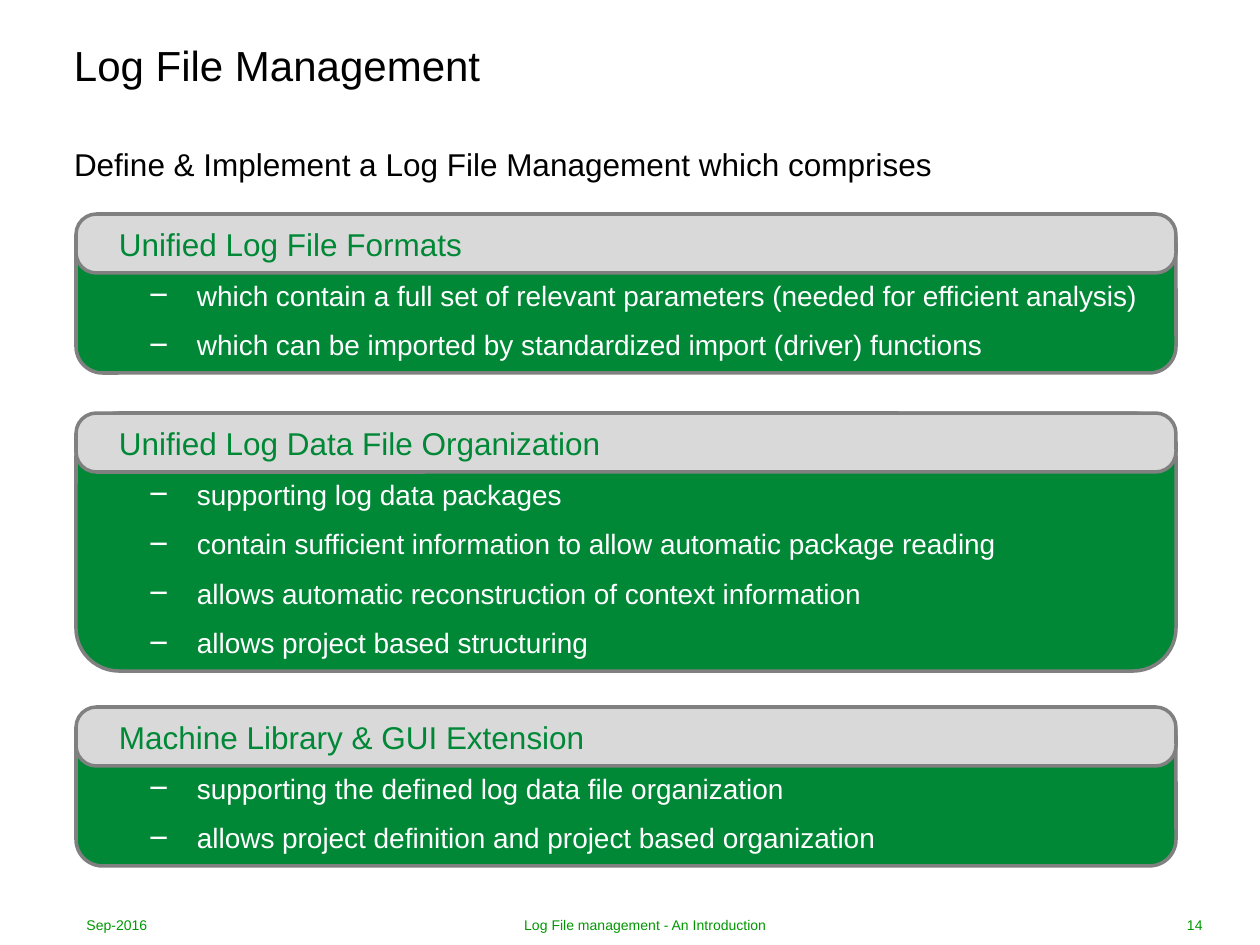
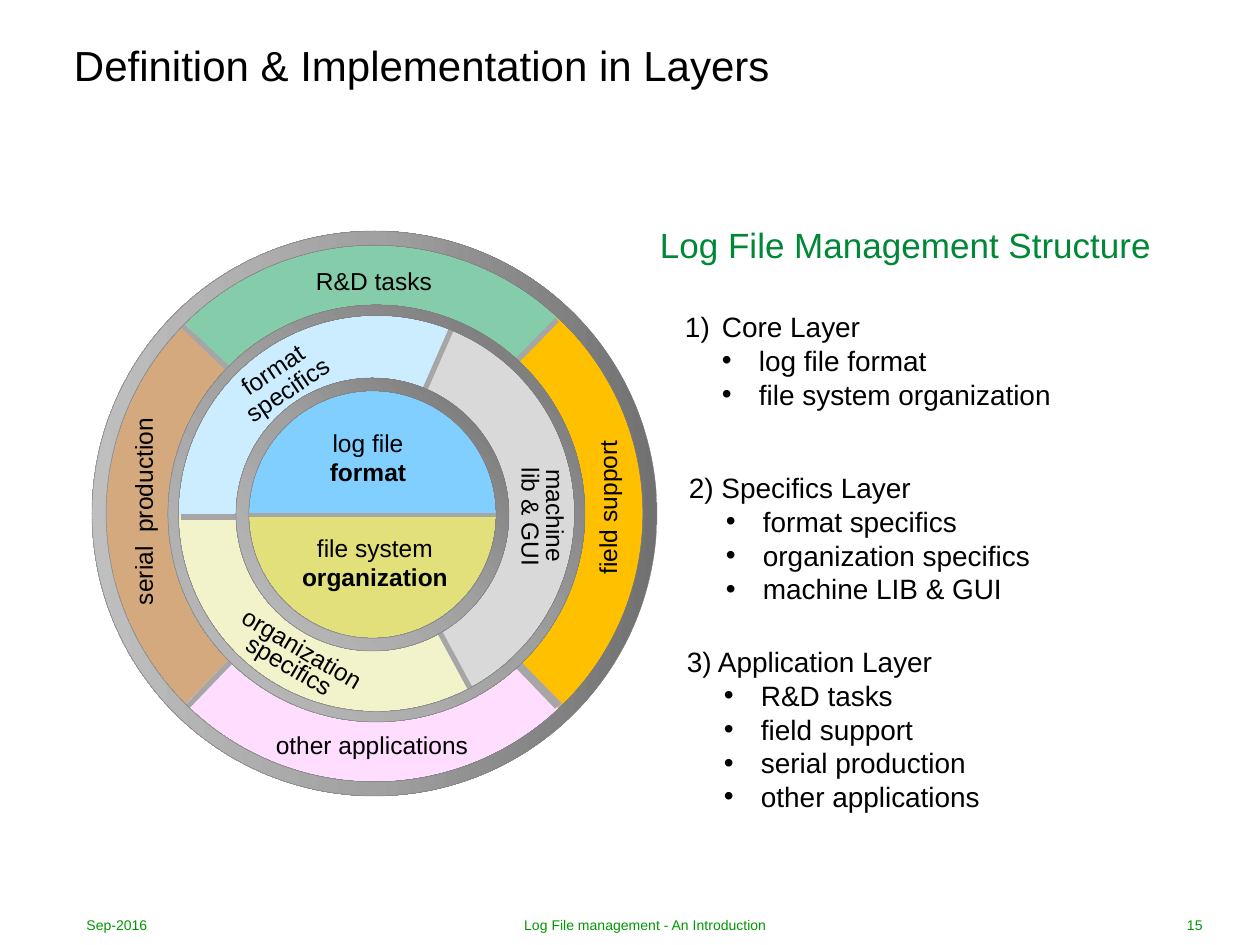
from pptx import Presentation
from pptx.dml.color import RGBColor
from pptx.enum.shapes import MSO_CONNECTOR, MSO_SHAPE
from pptx.enum.text import MSO_ANCHOR, PP_ALIGN
from pptx.oxml import parse_xml
from pptx.oxml.ns import nsdecls
from pptx.util import Pt

ROUND, CHORD, PIE, DONUT = (MSO_SHAPE.ROUNDED_RECTANGLE, MSO_SHAPE.CHORD,
                            MSO_SHAPE.PIE, MSO_SHAPE.DONUT)
LINE = MSO_CONNECTOR.STRAIGHT
LEFT, MID, RIGHT = PP_ALIGN.LEFT, PP_ALIGN.CENTER, PP_ALIGN.RIGHT
TOP, MIDDLE = MSO_ANCHOR.TOP, MSO_ANCHOR.MIDDLE

FONT = "Arial"
BLACK, WHITE, GREEN, FOOT = "000000", "FFFFFF", "008837", "009800"
PALE, EDGE, SPOKE = "D9D9D9", "808080", "A6A6A6"
STOPS = ((0, "717171"), (50, "A1A1A1"), (100, "BFBFBF"))
WIDE, HIGH = 1260, 945
EDGE_X = 74


def px(n):
    return round(n * 914400 / 126)


def rgb(code):
    return RGBColor.from_string(code)


def xml(body):
    """Parse one element, adding the drawing namespace to its tag."""
    tag = body[1:].split("/")[0].split(">")[0].split()[0]
    return parse_xml(body.replace(tag, f"{tag} {nsdecls('a')}", 1))


def mark(para, sign, color=None, scale=None):
    """Give a paragraph its bullet; the sign "1)" is an automatic number."""
    props = para._p.get_or_add_pPr()
    if color:
        props.append(xml(f'<a:buClr><a:srgbClr val="{color}"/></a:buClr>'))
    if scale:
        props.append(xml(f'<a:buSzPct val="{scale * 1000}"/>'))
    props.append(xml(f'<a:buFont typeface="{FONT}"/>'))
    if sign == "1)":
        props.append(xml('<a:buAutoNum type="arabicParenR"/>'))
    else:
        props.append(xml(f'<a:buChar char="{sign}"/>'))


def write(slide, box, *lines, anchor=TOP, inset=True, wrap=True, turn=0, **base):
    """Add a text box; a line is a string or a (string, format) pair."""
    area = slide.shapes.add_textbox(*map(px, box))
    area.rotation = turn
    frame = area.text_frame
    frame.word_wrap, frame.vertical_anchor = wrap, anchor
    if not inset:
        frame.margin_left = frame.margin_right = 0
        frame.margin_top = frame.margin_bottom = 0
    for i, line in enumerate(lines):
        text, extra = (line, {}) if isinstance(line, str) else line
        fmt = {**base, **extra}
        para = frame.add_paragraph() if i else frame.paragraphs[0]
        para.alignment = fmt.get("align", LEFT)
        if "gaps" in fmt:
            para.space_before, para.space_after = map(Pt, fmt["gaps"])
        if "indent" in fmt:
            start, hang = fmt["indent"]
            props = para._p.get_or_add_pPr()
            props.set("marL", str(px(start)))
            props.set("indent", str(px(-hang)))
        if "bullet" in fmt:
            mark(para, *fmt["bullet"])
        run = para.add_run()
        run.text = text
        font = run.font
        font.name, font.size = FONT, Pt(fmt.get("size", 16))
        font.color.rgb = rgb(fmt.get("color", BLACK))
        if fmt.get("bold"):
            font.bold = True


def shape(slide, kind, box, fill=None, edge=None, width=1, adj=()):
    item = slide.shapes.add_shape(kind, *map(px, box))
    item.shadow.inherit = False
    for i, value in enumerate(adj):
        item.adjustments[i] = value
    if fill:
        item.fill.solid()
        item.fill.fore_color.rgb = rgb(fill)
    if edge:
        item.line.color.rgb = rgb(edge)
        item.line.width = Pt(width)
    else:
        item.line.fill.background()
    return item


def spoke(slide, ends, width):
    line = slide.shapes.add_connector(LINE, *map(px, ends))
    line.line.color.rgb = rgb(SPOKE)
    line.line.width = Pt(width)
    line._element.spPr.append(xml("<a:effectLst/>"))


def ring(slide, box, thick, angle):
    """Add a metallic ring with a three-stop gradient."""
    item = shape(slide, DONUT, box, edge=EDGE, width=0.25, adj=[thick])
    item.fill.background()
    stops = "".join(f'<a:gs pos="{pos * 1000}"><a:srgbClr val="{color}"/></a:gs>'
                    for pos, color in STOPS)
    grad = xml(f'<a:gradFill rotWithShape="1"><a:gsLst>{stops}</a:gsLst>'
               f'<a:lin ang="{angle * 60000}" scaled="0"/></a:gradFill>')
    props = item._element.spPr
    props.replace(props.find("{*}noFill"), grad)


def page(deck, title, number):
    """Add a blank slide with the shared title and footer."""
    slide = deck.slides.add_slide(deck.slide_layouts[6])
    write(slide, (EDGE_X, 25, 893, 79), title, size=24, anchor=MIDDLE, inset=False)
    for left, width, text, align in (
            (EDGE_X, 198, "Sep-2016", LEFT),
            (323, 645, "Log File management - An Introduction", MID),
            (1017, 198, str(number), RIGHT)):
        write(slide, (left, 912, width, 25), text, size=8, color=FOOT,
              align=align, anchor=MIDDLE)
    return slide


# Slide with three cards
CARDS = (
    (214, 159, "Unified Log File Formats",
     ("which contain a full set of relevant parameters (needed for efficient analysis)",
      "which can be imported by standardized import (driver) functions")),
    (413, 258, "Unified Log Data File Organization",
     ("supporting log data packages",
      "contain sufficient information to allow automatic package reading",
      "allows automatic reconstruction of context information",
      "allows project based structuring")),
    (707, 159, "Machine Library & GUI Extension",
     ("supporting the defined log data file organization",
      "allows project definition and project based organization")),
)


def card(slide, box, head, points):
    left, top, width, height = box
    shape(slide, ROUND, box, GREEN, EDGE, 2)
    shape(slide, ROUND, (left, top, width, 59), PALE, EDGE, 2, [0.346])
    item = dict(color=WHITE, indent=(122, 48), bullet=("−", WHITE, 120))
    write(slide, (left - 1, top + 11, width + 21, height - 20),
          (head, dict(size=18, color=GREEN, indent=(44, 0))),
          *((point, item) for point in points), gaps=(3, 6), inset=False)


def cards(deck):
    slide = page(deck, "Log File Management", 14)
    write(slide, (EDGE_X, 145, 1142, 30),
          "Define & Implement a Log File Management which comprises",
          size=18, gaps=(3, 6), inset=False)
    for top, height, head, points in CARDS:
        card(slide, (76, top, 1100, height), head, points)


# Slide with the layer wheel: per layer its sectors (kind, left, top, size,
# start and end degrees, fill), spokes (ends, width) and ring
LAYERS = (
    (((CHORD, 4, 10, 552, 44, 225.5, "D4A97E"),
      (PIE, 4, 3, 556, 46.8, 134.4, "FFDDFF"),
      (CHORD, 8, 3, 552, 224.5, 46, "FFC000"),
      (PIE, 5, 5, 556, 225, 313.2, "85CCAB")),
     (((91, 95, 170, 170), 3), ((415, 422, 466, 475), 4.5),
      ((465, 89, 413, 142), 3), ((147, 422, 96, 475), 3)),
     (0, 0, 565, 0.025, 180)),
    (((CHORD, 81, 81, 407, 359, 180.5, "F3F3CB"),
      (CHORD, 79, 79, 407, 179.5, 1, "CCECFF"),
      (PIE, 78, 78, 408, 292.1, 61.7, PALE)),
     (((89, 286, 157, 286), 3), ((331, 163, 359, 99), 3),
      ((346, 398, 379, 459), 3)),
     (76, 74, 417, 0.025, 135)),
    (((CHORD, 151, 155, 262, 359.3, 180.5, "E2E07A"),
      (CHORD, 151, 152, 262, 179.8, 359.9, "81CFFF")),
     (((144, 284, 416, 284), 2.25),),
     (144, 147, 273, 0.047, 135)),
)
BOLD = dict(bold=True)
LABEL_W = 220
# Labels: middle, top, height, turn, lines
LABELS = (
    (282, 35, 25, 0, ["R&D tasks"]),
    (513, 264, 25, 270, ["field support"]),
    (49, 268, 25, 270, ["serial  production"]),
    (280, 499, 25, 0, ["other applications"]),
    (199, 142, 44, 326.2, ["specifics"]),
    (179, 124, 25, 326.2, ["format"]),
    (209, 402, 35, 30.7, ["organization"]),
    (194, 418, 44, 30.7, ["specifics"]),
    (432, 264, 44, 90, ["lib & GUI"]),
    (466, 272, 25, 90, ["machine"]),
    (276, 197, 44, 0, ["log file", ("format", BOLD)]),
    (283, 302, 44, 0, ["file system", ("organization", BOLD)]),
)
FIRST = dict(indent=(37, 37), bullet=("1)",))
# Lists: left, top, head, points
LISTS = (
    (25, 86, ("Core Layer", FIRST), ("log file format", "file system organization")),
    (29, 247, "2) Specifics Layer",
     ("format specifics", "organization specifics", "machine LIB & GUI")),
    (27, 421, "3) Application Layer",
     ("R&D tasks", "field support", "serial production", "other applications")),
)


def wheel(slide, x, y):
    for sectors, spokes, (left, top, size, thick, angle) in LAYERS:
        for kind, a, b, span, start, end, fill in sectors:
            shape(slide, kind, (x + a, y + b, span, span), fill,
                  adj=[start * 0.6, end * 0.6])
        for (x1, y1, x2, y2), width in spokes:
            spoke(slide, (x + x1, y + y1, x + x2, y + y2), width)
        ring(slide, (x + left, y + top, size, size), thick, angle)
    for middle, top, height, turn, lines in LABELS:
        write(slide, (x + middle - LABEL_W // 2, y + top, LABEL_W, height),
              *lines, size=14, align=MID, turn=turn, wrap=False, inset=False)


def legend(slide, x, y):
    write(slide, (x, y, 529, 63), "Log File Management Structure",
          size=20, color=GREEN, inset=False)
    item = dict(indent=(74, 37), bullet=("•",))
    for left, top, head, points in LISTS:
        write(slide, (x + left, y + top, 427, 34 * (len(points) + 1)), head,
              *((point, item) for point in points), inset=False)


def layers(deck):
    slide = page(deck, "Definition & Implementation in Layers", 15)
    wheel(slide, 92, 231)
    legend(slide, 660, 224)


def main():
    deck = Presentation()
    deck.slide_width, deck.slide_height = px(WIDE), px(HIGH)
    cards(deck)
    layers(deck)
    deck.save("out.pptx")


if __name__ == "__main__":
    main()
